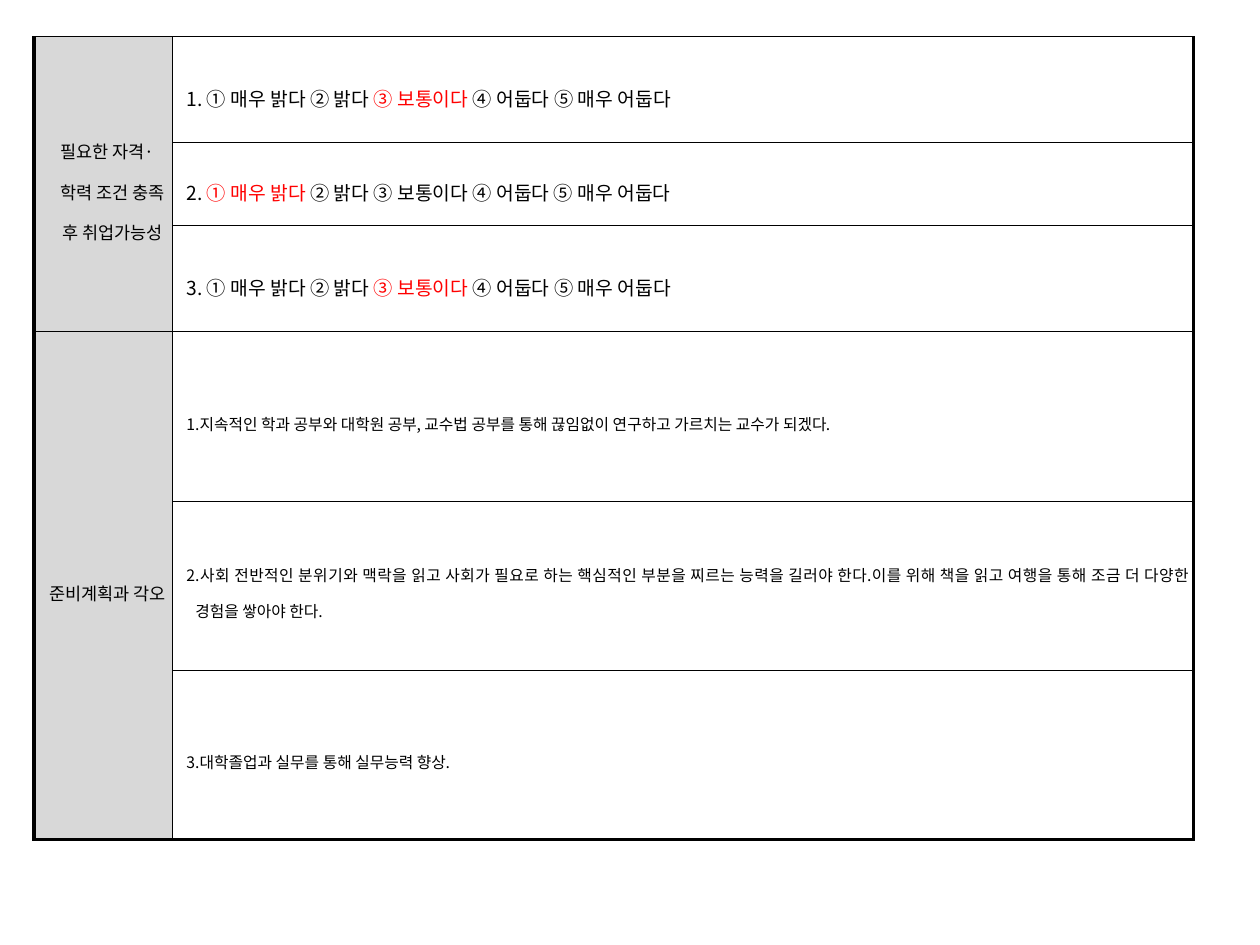
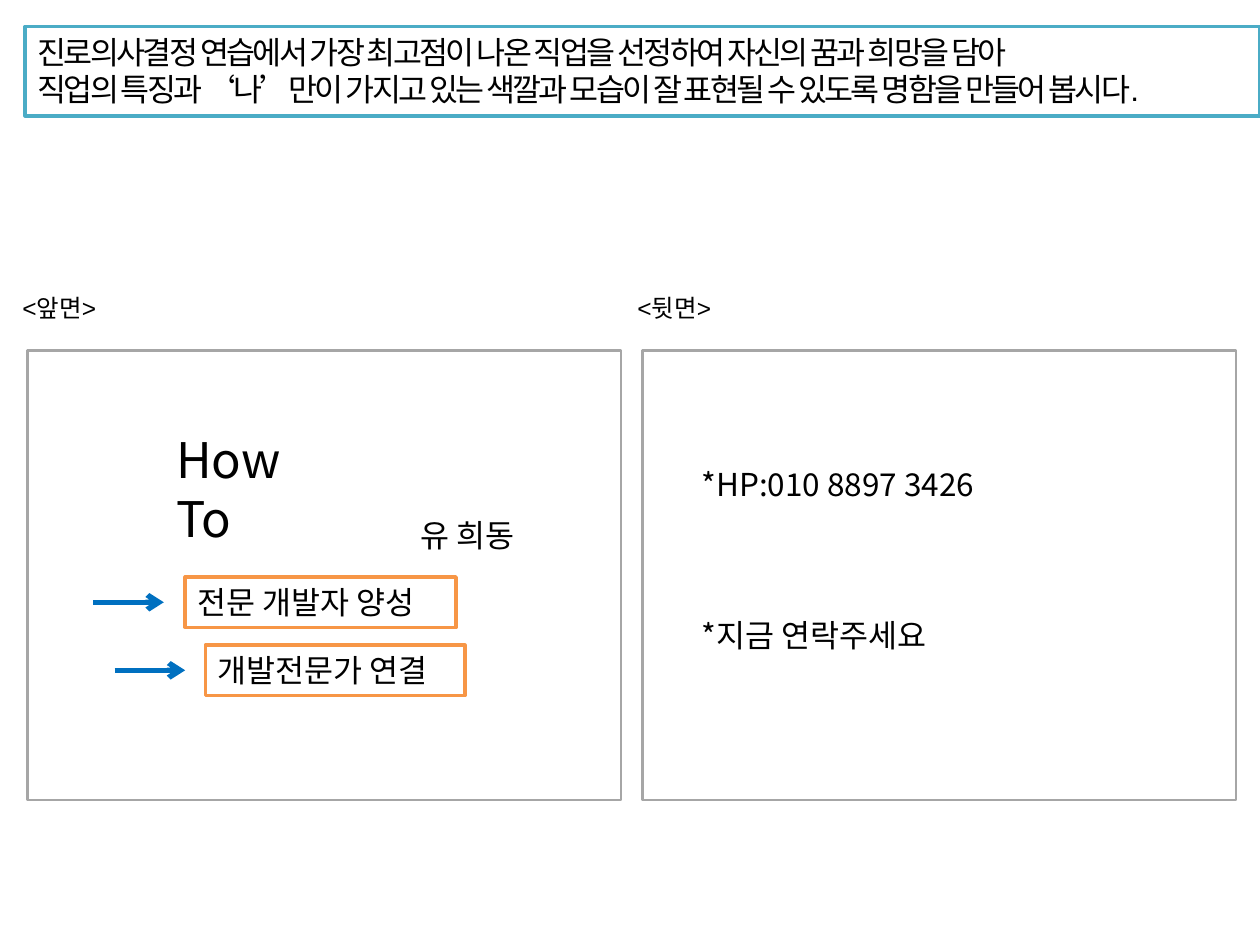
from lxml.etree import SubElement as Sub
from pptx import Presentation
from pptx.dml.color import RGBColor as RGB
from pptx.enum.shapes import MSO_CONNECTOR as Link, MSO_SHAPE as Shape
from pptx.enum.text import MSO_ANCHOR as Anchor, PP_ALIGN as Align
from pptx.oxml.ns import qn
from pptx.util import Inches, Pt

BLACK = RGB(0x00, 0x00, 0x00)
WHITE = RGB(0xFF, 0xFF, 0xFF)
RED = RGB(0xFF, 0x00, 0x00)
GREY = RGB(0xD8, 0xD8, 0xD8)
SILVER = RGB(0xA6, 0xA6, 0xA6)
TEAL = RGB(0x4B, 0xAC, 0xC6)
BLUE = RGB(0x00, 0x70, 0xC0)
ORANGE = RGB(0xF7, 0x96, 0x46)
NOTO = "Noto Sans CJK KR"
ARIAL = "Arial"
THIN, THICK = 0.28, 1.98

CELL = {
    "margin_left": Inches(0.04), "margin_right": Inches(0.04),
    "margin_top": Inches(0.01), "margin_bottom": Inches(0.01),
    "vertical_anchor": Anchor.MIDDLE,
}
# Keeps the three-line label from stretching the last row it spans
TIGHT = {"margin_top": Inches(-0.07), "margin_bottom": Inches(-0.07)}
COLS = [1.1, 8.1]
ROWS = [0.84, 0.66, 0.84, 1.35, 1.34, 1.34]
LABELS = ["필요한 자격·학력 조건 충족 후 취업가능성", "준비계획과 각오"]
RATES = ["① 매우 밝다 ", "② 밝다 ", "③ 보통이다 ", "④ 어둡다 ", "⑤ 매우 어둡다"]
PICKS = [2, 0, 2]
PLANS = [
    "1.지속적인 학과 공부와 대학원 공부, 교수법 공부를 통해 끊임없이 연구하고 가르치는 교수가 되겠다.",
    "2.사회 전반적인 분위기와 맥락을 읽고 사회가 필요로 하는 핵심적인 부분을 찌르는 능력을 길러야 한다."
    "이를 위해 책을 읽고 여행을 통해 조금 더 다양한 경험을 쌓아야 한다.",
    "3.대학졸업과 실무를 통해 실무능력 향상.",
]
TASK = [
    "진로의사결정 연습에서 가장 최고점이 나온 직업을 선정하여 자신의 꿈과 희망을 담아 ",
    "직업의 특징과 ‘나’만이 가지고 있는 색깔과 모습이 잘 표현될 수 있도록 명함을 만들어 봅시다.",
]


def apply(item, form):
    for name, value in form.items():
        setattr(item, name, value)


def indent(para, left, first):
    props = para._p.get_or_add_pPr()
    props.set("marL", str(Inches(left)))
    props.set("indent", str(Inches(first)))


def add_run(para, text, size, font=NOTO, color=BLACK):
    run = para.add_run()
    run.text = text
    apply(run.font, {"size": Pt(size), "name": font})
    run.font.color.rgb = color


def edge(cell, **widths):
    """Draw black cell borders; keys are the sides L, R, T, B."""
    props = cell._tc.get_or_add_tcPr()
    for spot, side in enumerate("LRTB"):
        line = props.makeelement(qn("a:ln" + side), {"w": str(Pt(widths[side]))})
        fill = Sub(line, qn("a:solidFill"))
        Sub(fill, qn("a:srgbClr"), val=str(BLACK))
        props.insert(spot, line)


def fill_cell(cell, parts, size, align):
    """Write (text, colour) parts into a table cell."""
    apply(cell, CELL)
    para = cell.text_frame.paragraphs[0]
    apply(para, {"alignment": align, "line_spacing": 1.6})
    indent(para, 0.14, -0.07)
    for text, color in parts:
        add_run(para, text, size, color=color)


def add_grid(slide):
    frame = slide.shapes.add_table(len(ROWS), len(COLS), Inches(0.27), Inches(0.29),
                                   Inches(sum(COLS)), Inches(sum(ROWS)))
    grid = frame.table
    apply(grid, {"first_row": False, "horz_banding": False})
    for col, width in zip(grid.columns, COLS):
        col.width = Inches(width)
    for row, height in zip(grid.rows, ROWS):
        row.height = Inches(height)

    for part, label in enumerate(LABELS):
        top = part * 3
        cell = grid.cell(top, 0)
        cell.merge(grid.cell(top + 2, 0))
        cell.fill.solid()
        cell.fill.fore_color.rgb = GREY
        fill_cell(cell, [(label, BLACK)], 10, Align.CENTER)
        apply(cell, TIGHT)
        edge(cell, L=THICK, R=THIN, T=THIN, B=THICK if part else THIN)

    answers = []
    for num, pick in enumerate(PICKS, 1):
        rates = [(rate, RED if i == pick else BLACK) for i, rate in enumerate(RATES)]
        answers.append(([(f"{num}. ", BLACK)] + rates, 11))
    answers += [([(plan, BLACK)], 9) for plan in PLANS]
    for row, (parts, size) in enumerate(answers):
        cell = grid.cell(row, 1)
        cell.fill.background()
        fill_cell(cell, parts, size, Align.JUSTIFY)
        last = row == len(ROWS) - 1
        edge(cell, L=THIN, R=THICK, T=THIN, B=THICK if last else THIN)


def add_box(slide, box, line, width, fill=None):
    shape = slide.shapes.add_shape(Shape.RECTANGLE, *map(Inches, box))
    shape.shadow.inherit = False
    shape.line.color.rgb = line
    shape.line.width = Pt(width)
    if fill is None:
        shape.fill.background()
    else:
        shape.fill.solid()
        shape.fill.fore_color.rgb = fill
    return shape


def write(shape, lines, size=18, font=NOTO, wrap=False, align=Align.LEFT, gap=0):
    """Fill a shape with one paragraph a line and return the paragraphs."""
    frame = shape.text_frame
    apply(frame, {"word_wrap": wrap, "vertical_anchor": Anchor.TOP})
    for i, text in enumerate(lines):
        para = frame.add_paragraph() if i else frame.paragraphs[0]
        apply(para, {"alignment": align, "space_before": Pt(gap if i else 0)})
        add_run(para, text, size, font)
    return frame.paragraphs


def add_note(slide, box, lines, **form):
    write(slide.shapes.add_textbox(*map(Inches, box)), lines, **form)


def add_arrow(slide, left, y):
    line = slide.shapes.add_connector(
        Link.STRAIGHT, Inches(left), Inches(y), Inches(left + 0.56), Inches(y))
    line.line.color.rgb = BLUE
    line.line.width = Pt(3)
    Sub(line.line._get_or_add_ln(), qn("a:tailEnd"), type="arrow")
    Sub(line._element.spPr, qn("a:effectLst"))


def add_task(slide):
    box = add_box(slide, (0.2, 0.21, 9.8, 0.71), TEAL, 2, WHITE)
    for para in write(box, TASK, font=ARIAL, wrap=True, align=Align.JUSTIFY):
        indent(para, 0.2, -0.2)
        for run in para.runs:
            run._r.get_or_add_rPr().set("spc", "-150")


def add_cards(slide):
    for i, side in enumerate(["<앞면>", "<뒷면>"]):
        shift = i * 4.88
        add_note(slide, (0.08 + shift, 2.28, 3.45, 0.34), [side],
                 size=14, font=ARIAL, wrap=True)
        add_box(slide, (0.22 + shift, 2.78, 4.71, 3.57), SILVER, 1.5)

    add_note(slide, (1.3, 3.36, 1.45, 0.57), ["How To"], size=28, wrap=True)
    add_note(slide, (3.24, 4.05, 1.05, 0.4), ["유 희동"])
    offers = [("전문 개발자 양성", 1.47, 4.58, 2.15, 0.74),
              ("개발전문가 연결", 1.63, 5.12, 2.06, 0.91)]
    for text, left, top, width, start in offers:
        add_arrow(slide, start, top + 0.2)
        write(add_box(slide, (left, top, width, 0.4), ORANGE, 2, WHITE), [text])
    add_note(slide, (5.47, 3.64, 2.39, 1.62),
             ["*HP:010 8897 3426", "*지금 연락주세요"], gap=65)


def main():
    deck = Presentation()
    apply(deck, {"slide_width": Inches(10), "slide_height": Inches(7.5)})
    plan, card = [deck.slides.add_slide(deck.slide_layouts[6]) for _ in range(2)]
    add_grid(plan)
    add_task(card)
    add_cards(card)
    deck.save("out.pptx")


if __name__ == "__main__":
    main()
